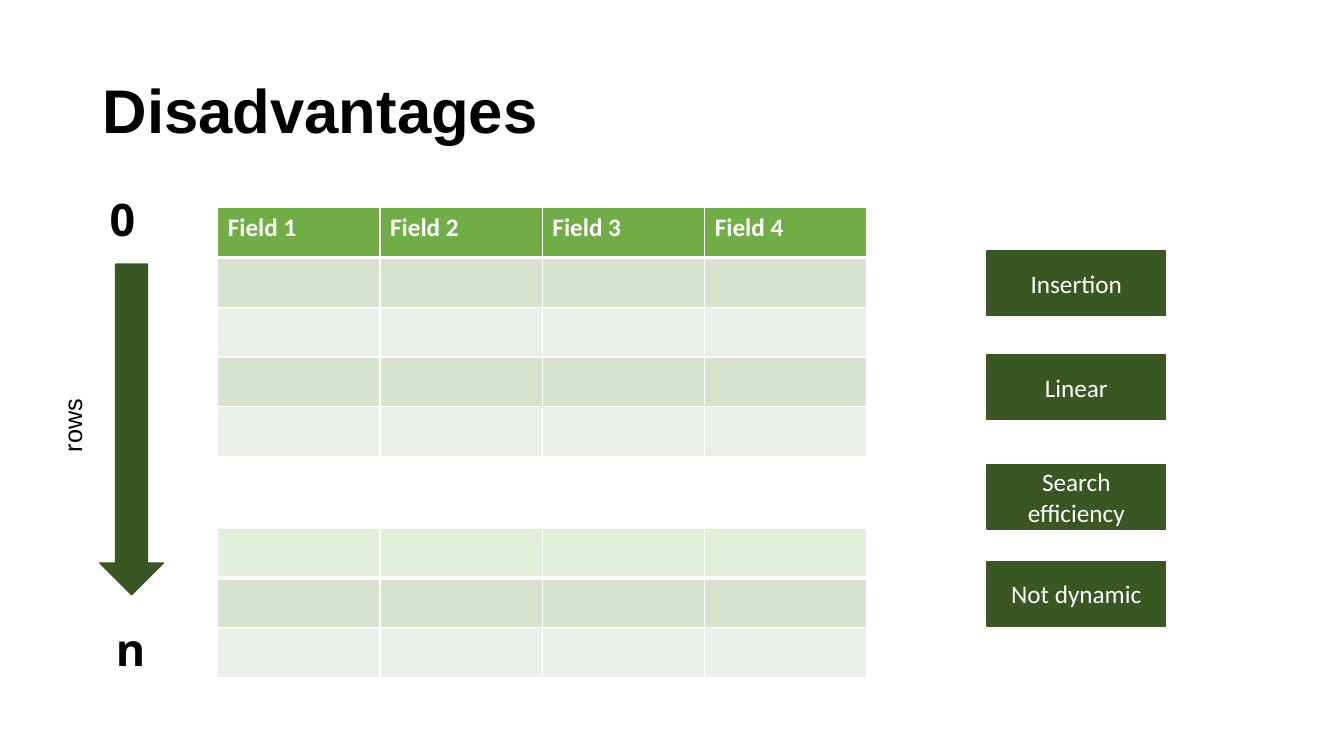
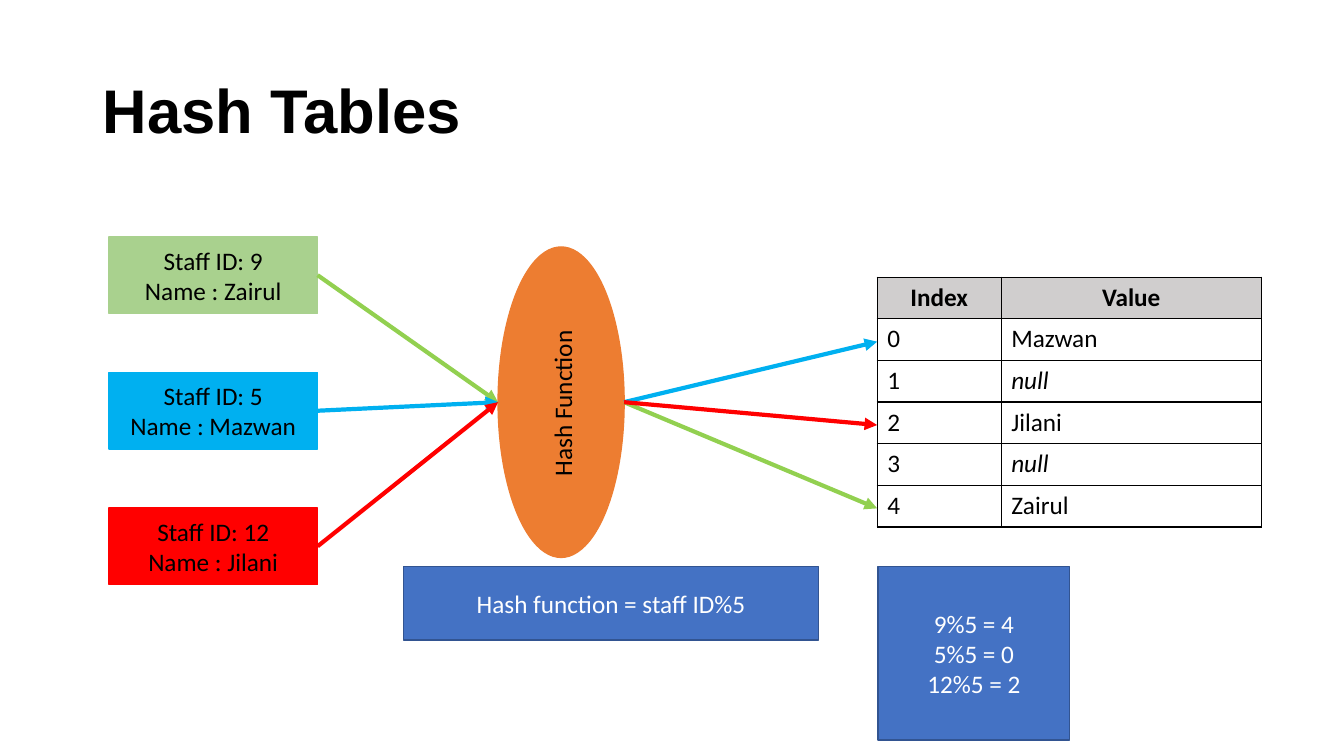
from lxml import etree
from pptx import Presentation
from pptx.dml.color import RGBColor
from pptx.enum.shapes import MSO_CONNECTOR, MSO_SHAPE as SHAPE
from pptx.enum.text import MSO_ANCHOR, MSO_AUTO_SIZE, PP_ALIGN
from pptx.oxml.ns import qn
from pptx.util import Inches, Pt

COLORS = {
    "black": "000000", "white": "FFFFFF", "dark_green": "385723",
    "header_green": "70AD47", "pale_green": "E2F0D9",
    "band_dark": "D5E3CF", "band_light": "EBF1E9",
    "staff_green": "A9D18E", "arrow_green": "92D050",
    "sky": "00B0F0", "red": "FF0000", "orange": "ED7D31",
    "blue": "4472C4", "blue_edge": "325491", "grey": "D0CECE",
}

FIELDS = ["Field 1", "Field 2", "Field 3", "Field 4"]
BANDS = ["band_dark", "band_light"]
DRAWBACKS = [("Insertion", 2.49), ("Linear", 3.52),
             ("Search efficiency", 4.61), ("Not dynamic", 5.57)]
ROW_ENDS = [("0", 0.99, 1.85), ("n", 1.05, 6.12)]

BUCKETS = 5
STAFF = [  # ID, name, box colour, arrow colour
    (9, "Zairul", "staff_green", "arrow_green"),
    (5, "Mazwan", "sky", "sky"),
    (12, "Jilani", "red", "red"),
]


def rgb(name):
    return RGBColor.from_string(COLORS[name])


def write(frame, lines, color="black", size=18, font="Calibri",
          align=PP_ALIGN.LEFT, bold=False, italic=False):
    for number, line in enumerate(lines):
        paragraph = frame.add_paragraph() if number else frame.paragraphs[0]
        paragraph.alignment = align
        run = paragraph.add_run()
        run.text = line
        run.font.name = font
        run.font.size = Pt(size)
        run.font.bold = bold
        run.font.italic = italic
        run.font.color.rgb = rgb(color)


def add_titled_slide(prs, title):
    slide = prs.slides.add_slide(prs.slide_layouts[5])
    holder = slide.shapes.title
    holder.left, holder.top = Inches(0.92), Inches(0.4)
    holder.width, holder.height = Inches(11.5), Inches(1.45)
    frame = holder.text_frame
    frame.auto_size = MSO_AUTO_SIZE.NONE
    frame.vertical_anchor = MSO_ANCHOR.MIDDLE
    write(frame, [title], size=44, font="Arial", bold=True)
    frame.paragraphs[0].line_spacing = 0.9
    return slide


def add_block(slide, kind, box, fill, edge=None, lines=(), color="white"):
    block = slide.shapes.add_shape(kind, *map(Inches, box))
    block.shadow.inherit = False
    block.fill.solid()
    block.fill.fore_color.rgb = rgb(fill)
    block.line.color.rgb = rgb(edge or fill)
    block.line.width = Pt(1)
    frame = block.text_frame
    frame.word_wrap = True
    frame.vertical_anchor = MSO_ANCHOR.MIDDLE
    write(frame, lines, color, align=PP_ALIGN.CENTER)


def add_label(slide, box, text, upright=True, **style):
    """Add a text box; one that is not upright reads from bottom to top."""
    label = slide.shapes.add_textbox(*map(Inches, box))
    label.rotation = 0 if upright else 270
    label.text_frame.word_wrap = upright
    write(label.text_frame, [text], **style)


def add_arrow(slide, start, end, color):
    arrow = slide.shapes.add_connector(
        MSO_CONNECTOR.STRAIGHT, *map(Inches, (*start, *end)))
    arrow.line.color.rgb = rgb(color)
    arrow.line.width = Pt(3)
    line = arrow.line._get_or_add_ln()
    etree.SubElement(line, qn("a:tailEnd"), type="triangle")
    etree.SubElement(arrow._element.spPr, qn("a:effectLst"))


def set_borders(cell, color, widths):
    """Draw the left, right, top and bottom borders, widths in points."""
    properties = cell._tc.get_or_add_tcPr()
    for side, width in zip("LRTB", widths):
        line = etree.SubElement(properties, qn(f"a:ln{side}"), w=str(Pt(width)))
        fill = etree.SubElement(line, qn("a:solidFill"))
        etree.SubElement(fill, qn("a:srgbClr"), val=COLORS[color])


def add_grid(slide, box, columns, row_count, border, fills, header_rule=1):
    """Add a bordered table; fills holds one colour, or None, per row."""
    table = slide.shapes.add_table(
        row_count, len(columns), *map(Inches, box)).table
    table.first_row = table.horz_banding = False
    for column, width in zip(table.columns, columns):
        column.width = Inches(width)
    for number, (row, fill) in enumerate(zip(table.rows, fills)):
        row.height = Inches(box[3] / row_count)
        top = header_rule if number == 1 else 1
        bottom = header_rule if number == 0 else 1
        for cell in row.cells:
            set_borders(cell, border, (1, 1, top, bottom))
            if fill:
                cell.fill.solid()
                cell.fill.fore_color.rgb = rgb(fill)
            else:
                cell.fill.background()
    return table


def build_disadvantages(prs):
    slide = add_titled_slide(prs, "Disadvantages")
    parts = [(2.06, 2.47, ["header_green"] + BANDS * 2),
             (5.24, 1.48, ["pale_green"] + BANDS)]
    first, _ = [
        add_grid(slide, (2.16, top, 6.43, height), [1.61] * len(FIELDS),
                 len(fills), "white", fills, header_rule=3)
        for top, height, fills in parts]
    for cell, field in zip(first.rows[0].cells, FIELDS):
        write(cell.text_frame, [field], "white", bold=True)

    add_block(slide, SHAPE.DOWN_ARROW, (0.99, 2.62, 0.63, 3.28), "dark_green")
    for text, left, top in ROW_ENDS:
        add_label(slide, (left, top, 0.5, 0.64), text,
                  size=32, font="Open Sans", bold=True)
    add_label(slide, (0.35, 4.02, 0.73, 0.4), "rows", upright=False,
              font="Arial")
    for text, top in DRAWBACKS:
        add_block(slide, SHAPE.RECTANGLE, (9.79, top, 1.77, 0.64),
                  "dark_green", lines=[text])


def build_hash_tables(prs):
    slide = add_titled_slide(prs, "Hash Tables")
    hash_left, hash_top, hash_width, hash_height = hash_box = (
        4.94, 2.45, 1.25, 3.08)
    add_block(slide, SHAPE.OVAL, hash_box, "orange")
    add_label(slide, (4.74, 3.79, 1.67, 0.4), "Hash Function", upright=False)

    table_left, table_top, table_height = 8.7, 2.75, 2.48
    row_count = BUCKETS + 1
    table = add_grid(slide, (table_left, table_top, 3.81, table_height),
                     [1.23, 2.58], row_count, "black",
                     ["grey"] + [None] * BUCKETS)
    for cell, heading in zip(table.rows[0].cells, ["Index", "Value"]):
        write(cell.text_frame, [heading], align=PP_ALIGN.CENTER, bold=True)
    stored = {staff_id % BUCKETS: name for staff_id, name, *_ in STAFF}
    for index in range(BUCKETS):
        write(table.cell(index + 1, 0).text_frame, [str(index)])
        write(table.cell(index + 1, 1).text_frame,
              [stored.get(index, "null")], italic=index not in stored)

    left, first_top, width, height, pitch = 1.08, 2.35, 2.07, 0.76, 1.345
    hash_middle = hash_top + hash_height / 2
    row_height = table_height / row_count
    for number, (staff_id, name, fill, arrow) in enumerate(STAFF):
        top = first_top + number * pitch
        add_block(slide, SHAPE.RECTANGLE, (left, top, width, height), fill,
                  lines=[f"Staff ID: {staff_id}", f"Name : {name}"],
                  color="black")
        add_arrow(slide, (left + width, top + height / 2),
                  (hash_left, hash_middle), arrow)
        row_middle = table_top + (staff_id % BUCKETS + 1.5) * row_height
        add_arrow(slide, (hash_left + hash_width, hash_middle),
                  (table_left, row_middle + 0.02), arrow)

    sums = [f"{staff_id}%{BUCKETS} = {staff_id % BUCKETS}"
            for staff_id, *_ in STAFF]
    for box, lines in [
            ((4, 5.62, 4.12, 0.73), [f"Hash function = staff ID%{BUCKETS}"]),
            ((8.71, 5.62, 1.9, 1.72), sums)]:
        add_block(slide, SHAPE.RECTANGLE, box, "blue", "blue_edge", lines)


def main():
    prs = Presentation()
    prs.slide_width, prs.slide_height = Inches(13.33), Inches(7.5)
    build_disadvantages(prs)
    build_hash_tables(prs)
    prs.save("out.pptx")


if __name__ == "__main__":
    main()
